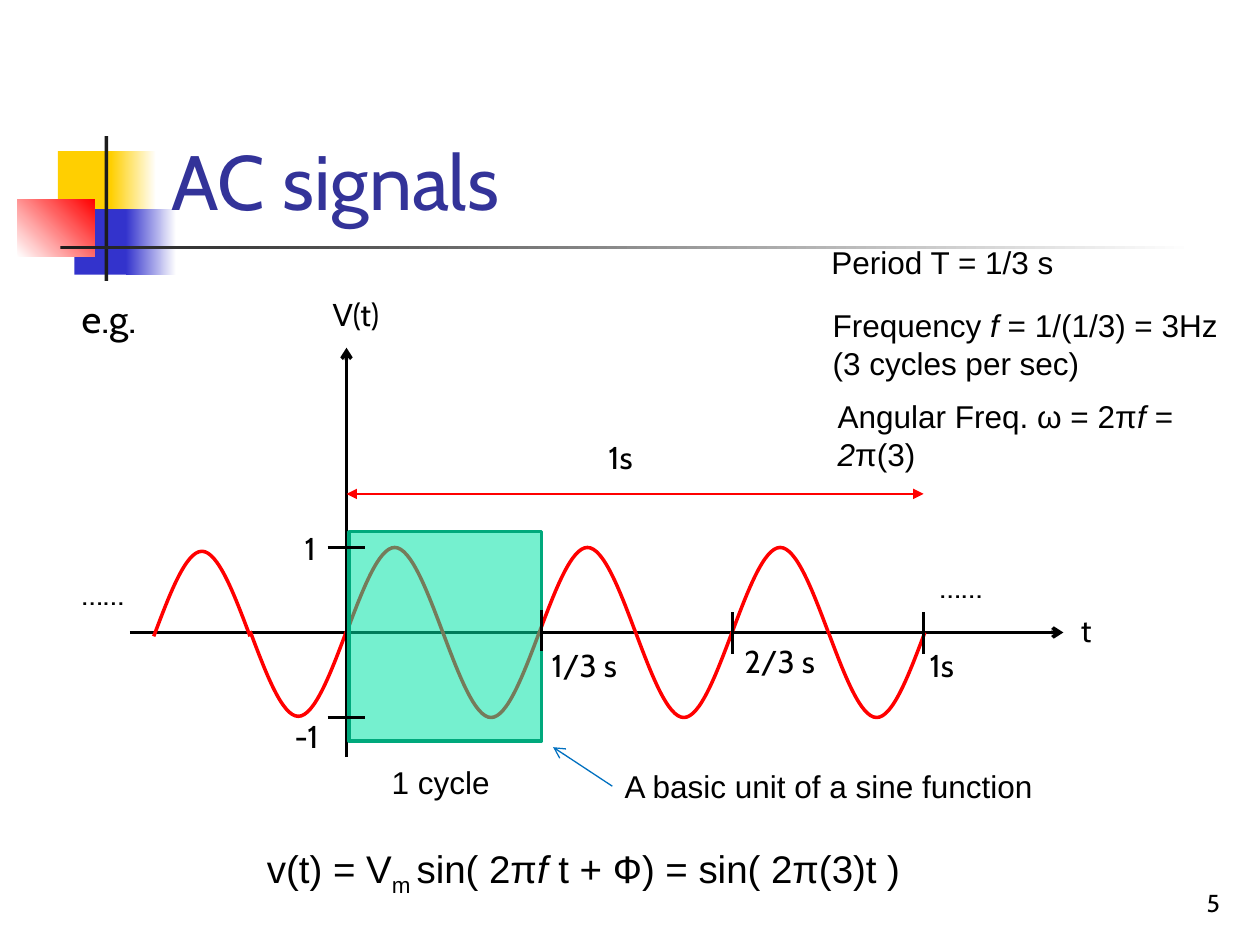
import pptx
import pptx.dml.color
import pptx.enum.shapes
import pptx.enum.text
import pptx.oxml
import pptx.oxml.ns
import pptx.util
from pptx.util import Inches

ALIGN = pptx.enum.text.PP_ALIGN
ANCHOR = pptx.enum.text.MSO_ANCHOR
BLACK, RED = "000000", "FF0000"
ORIGIN_X, ORIGIN_Y = 2.75, 5.02
CYCLE, AMPLITUDE = 1.53, 0.675
# Height of the Bezier points of half a sine, at equal steps in x
HALF_SINE = (0, 0.5, 1, 1, 1, 0.5, 0)


def rgb(color):
    return pptx.dml.color.RGBColor.from_string(color)


def add_child(parent, tag, **attributes):
    child = pptx.oxml.parse_xml(f"<{tag} {pptx.oxml.ns.nsdecls('a')}/>")
    for key, value in attributes.items():
        child.set(key, value)
    parent.append(child)
    return child


def add_block(slide, place, colors, angle=0):
    """Rectangle with one plain colour, or a gradient between two."""
    block = slide.shapes.add_shape(
        pptx.enum.shapes.MSO_SHAPE.RECTANGLE, *map(Inches, place))
    block.shadow.inherit = False
    block.line.fill.background()
    if len(colors) == 1:
        block.fill.solid()
        block.fill.fore_color.rgb = rgb(colors[0])
    else:
        block.fill.gradient()
        block.fill.gradient_angle = angle
        for stop, color in zip(block.fill.gradient_stops, colors):
            stop.color.rgb = rgb(color)
    return block


def add_text(slide, place, runs, size=18, font="Cabin", color=BLACK,
             align=ALIGN.LEFT, anchor=ANCHOR.TOP, wrap=True):
    """Runs are (text, style) pairs; style is "", "italic" or "sub"."""
    box = slide.shapes.add_textbox(*map(Inches, place))
    frame = box.text_frame
    frame.word_wrap = wrap
    frame.vertical_anchor = anchor
    paragraph = frame.paragraphs[0]
    paragraph.alignment = align
    for text, style in runs:
        run = paragraph.add_run()
        run.text = text
        run.font.size = pptx.util.Pt(size)
        run.font.name = font
        run.font.color.rgb = rgb(color)
        if style == "italic":
            run.font.italic = True
        elif style == "sub":
            run.font._element.set("baseline", "-25000")
    return box


def add_line(slide, start, end, color=BLACK, width=1.75, head=None, tail=None):
    line = slide.shapes.add_connector(
        pptx.enum.shapes.MSO_CONNECTOR.STRAIGHT,
        *map(Inches, start + end))
    line.line.color.rgb = rgb(color)
    line.line.width = pptx.util.Pt(width)
    outline = line.line._get_or_add_ln()
    if head:
        add_child(outline, "a:headEnd", type=head)
    if tail:
        add_child(outline, "a:tailEnd", type=tail)
    add_child(line._element.spPr, "a:effectLst")
    return line


def curve_segments(freeform):
    """Join each three line segments into one Bezier curve."""
    outline = next(freeform._element.iter(pptx.oxml.ns.qn("a:path")))
    segments = outline.findall(pptx.oxml.ns.qn("a:lnTo"))
    for first in range(0, len(segments), 3):
        curve = add_child(outline, "a:cubicBezTo")
        for segment in segments[first:first + 3]:
            curve.append(segment[0])
            outline.remove(segment)


def add_half_wave(slide, half, baseline=ORIGIN_Y):
    """Half number `half` of the sine, counted from the origin."""
    sign = 1 if half % 2 == 0 else -1
    points = []
    for step, height in enumerate(HALF_SINE):
        x = ORIGIN_X + (half + step / 6) * CYCLE / 2
        y = baseline - sign * AMPLITUDE * height
        points.append((Inches(x), Inches(y)))
    builder = slide.shapes.build_freeform(*points[0])
    builder.add_line_segments(points[1:], close=False)
    wave = builder.convert_to_shape()
    curve_segments(wave)
    wave.shadow.inherit = False
    wave.fill.background()
    wave.line.color.rgb = rgb(RED)
    wave.line.width = pptx.util.Pt(2)


def add_decoration(slide):
    add_block(slide, (0.46, 1.2, 0.48, 0.52), ["FFCF01"])
    add_block(slide, (0.88, 1.2, 0.36, 0.52), ["FFCF01", "FFFFFF"])
    add_block(slide, (0.59, 1.66, 0.46, 0.52), ["3333CC"])
    add_block(slide, (1, 1.66, 0.4, 0.52), ["3333CC", "FFFFFF"])
    add_block(slide, (0.14, 1.58, 0.61, 0.46), ["FFFFFF", RED], 45)
    add_block(slide, (0.83, 1.08, 0.03, 1.15), ["1C1C1C"])
    add_block(slide, (0.48, 1.95, 9, 0.03), ["1C1C1C", "FFFFFF"])


def add_graph(slide):
    # Axes and waves; the cycle before the origin sits slightly off the axis
    add_line(slide, (1.03, ORIGIN_Y), (8.44, ORIGIN_Y), width=2, tail="arrow")
    for half in range(6):
        add_half_wave(slide, half)
    add_half_wave(slide, -1, baseline=5.01)
    add_half_wave(slide, -2, baseline=5.05)
    add_line(slide, (ORIGIN_X, 6.01), (ORIGIN_X, 2.76), width=2, tail="arrow")

    # Highlighted cycle
    cycle = add_block(slide, (2.77, 4.22, CYCLE, 1.66), ["00E4A8"])
    color = cycle.fill._xPr.find(".//" + pptx.oxml.ns.qn("a:srgbClr"))
    add_child(color, "a:alpha", val="54000")
    cycle.line.color.rgb = rgb("00A97C")
    cycle.line.width = pptx.util.Pt(2)

    # Ticks and the one-second span
    add_line(slide, (ORIGIN_X, 3.92), (7.33, 3.92), RED, 0.75,
             head="triangle", tail="triangle")
    for y in (ORIGIN_Y - AMPLITUDE, ORIGIN_Y + AMPLITUDE):
        add_line(slide, (ORIGIN_X - 0.15, y), (ORIGIN_X + 0.15, y))
    for x, top in ((4.3, 4.84), (5.81, 4.86), (7.33, 4.86)):
        add_line(slide, (x, top), (x, top + 0.33))

    # Labels
    add_text(slide, (2.06, 2.29, 1.53, 0.7), [("V(t)", "")],
             align=ALIGN.CENTER)
    for label, place in (("t", (8.48, 4.8, 0.92, 0.96)),
                         ("……", (0.55, 4.51, 1.08, 0.4)),
                         ("……", (7.36, 4.45, 1.08, 0.4)),
                         ("1", (2.32, 4.15, 0.56, 0.4)),
                         ("-1", (2.24, 5.64, 0.56, 0.4))):
        add_text(slide, place, [(label, "")])
    for label, place in (("1s", (4.73, 3.43, 0.45, 0.4)),
                         ("1/3 s", (4.28, 5.08, 0.77, 0.4)),
                         ("2/3 s", (5.81, 5.05, 0.77, 0.4)),
                         ("1s", (7.28, 5.08, 0.45, 0.4))):
        add_text(slide, place, [(label, "")], wrap=False)


def add_notes_on_signal(slide):
    for place, runs in (
            ((3.01, 6.01, 1.16, 0.4), [("1 cycle", "")]),
            ((6.5, 1.88, 2.02, 0.4), [("Period T = 1/3 s", "")]),
            ((6.51, 2.38, 3.53, 0.71),
             [("Frequency ", ""), ("f ", "italic"),
              ("= 1/(1/3) = 3Hz (3 cycles per sec)", "")]),
            ((6.55, 3.1, 3.49, 0.4),
             [("Angular Freq. ω = 2π", ""), ("f = 2", "italic"),
              ("π(3)", "")])):
        add_text(slide, place, runs, font="Arial")

    # Basic unit with its pointer
    basic_unit = add_text(slide, (4.86, 6.04, 3.58, 0.4),
                          [("A basic unit of a sine function", "")],
                          font="Arial")
    pointer = add_line(slide, (4.86, 6.24), (4.39, 5.93), "0070C0", 0.75,
                       tail="arrow")
    pointer.begin_connect(basic_unit, 1)

    # Formula
    add_text(slide, (2.02, 6.66, 5.52, 0.47),
             [("v(t) = V", ""), ("m ", "sub"), ("sin( 2π", ""),
              ("f", "italic"), (" t + Ф) = sin( 2π(3)t )", "")],
             size=22, font="Arial")


def main():
    presentation = pptx.Presentation()
    presentation.slide_width = Inches(10)
    presentation.slide_height = Inches(7.5)
    slide = presentation.slides.add_slide(presentation.slide_layouts[6])
    add_decoration(slide)
    # Title, slide number and lead-in
    add_text(slide, (1.26, 0.24, 8.52, 1.6), [("AC signals", "")], size=44,
             color="333399", anchor=ANCHOR.BOTTOM)
    add_text(slide, (7.7, 6.83, 2.08, 0.5), [("5", "")], size=14,
             align=ALIGN.RIGHT, anchor=ANCHOR.BOTTOM)
    add_text(slide, (0.55, 2.29, 1.08, 0.47), [("e.g.", "")], size=22)
    add_graph(slide)
    add_notes_on_signal(slide)
    presentation.save("out.pptx")


if __name__ == "__main__":
    main()
